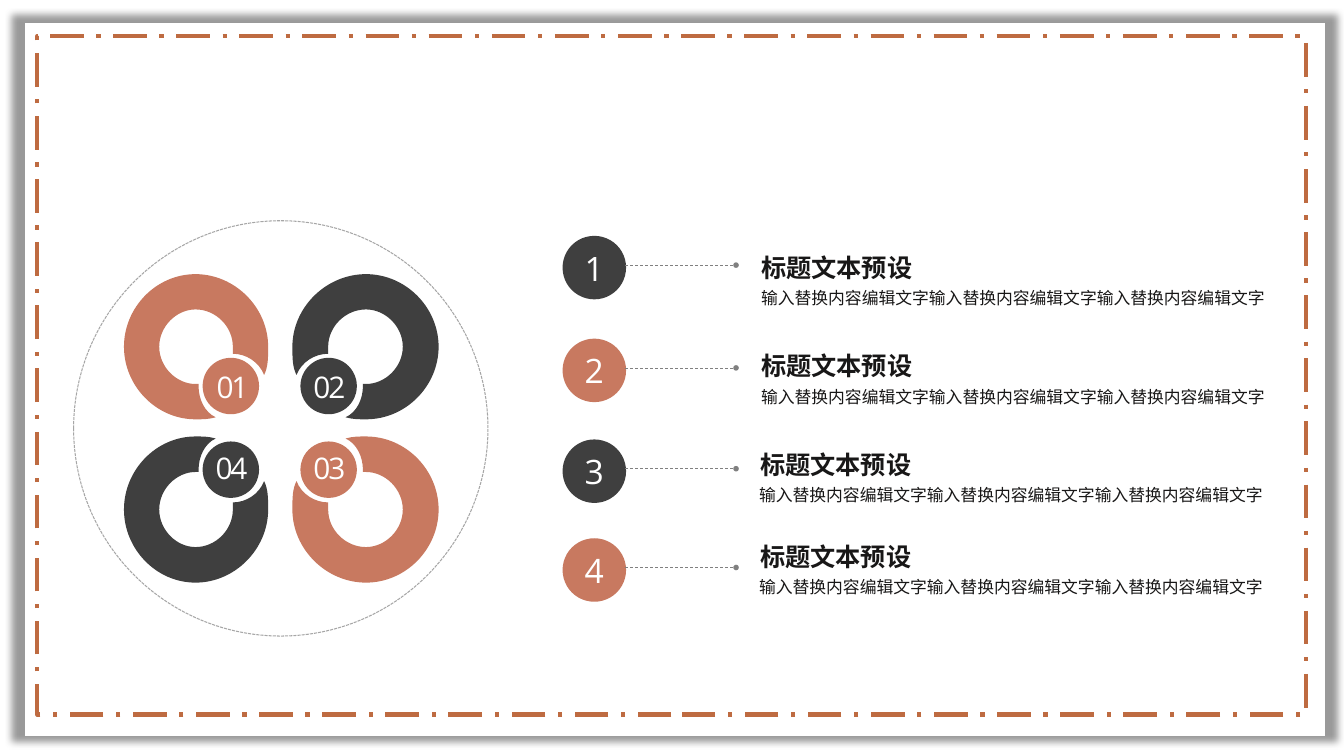
from lxml.etree import SubElement
from pptx import Presentation
from pptx.dml.color import RGBColor
from pptx.enum.dml import MSO_LINE
from pptx.enum.shapes import MSO_CONNECTOR, MSO_SHAPE
from pptx.enum.text import MSO_ANCHOR, MSO_AUTO_SIZE, PP_ALIGN
from pptx.oxml.ns import qn
from pptx.util import Inches, Pt

TITLE = "标题文本预设"
BODY = "输入替换内容编辑文字" * 3
FONT = "Open Sans"
COLORS = {
    "dark": "3F3F3F", "clay": "C87960", "border": "BE6B41", "white": "FFFFFF",
    "line": "808080", "ring": "A6A6A6", "text": "181717", "shadow": "000000",
}
ROWS = [
    ("1", "dark", 2.34, (7.45, 2.45), (7.45, 2.77)),
    ("2", "clay", 3.36, (7.45, 3.43), (7.45, 3.75)),
    ("3", "dark", 4.36, (7.44, 4.41), (7.43, 4.72)),
    ("4", "clay", 5.34, (7.44, 5.32), (7.43, 5.63)),
]
PETALS = [
    ("01", "clay", False, False, 2.05),
    ("02", "dark", True, False, 3.01),
    ("03", "clay", True, True, 3.01),
    ("04", "dark", False, True, 2.04),
]
PETAL_START = (1.94, 2.72)
PETAL_CURVES = [
    ((2.33, 2.72), (2.66, 3.05), (2.66, 3.44)),
    ((2.66, 3.55), (2.66, 3.64), (2.62, 3.72)),
    ((2.57, 3.59), (2.44, 3.51), (2.31, 3.51)),
    ((2.31, 3.48), (2.31, 3.46), (2.31, 3.44)),
    ((2.31, 3.24), (2.14, 3.07), (1.94, 3.07)),
    ((1.75, 3.07), (1.58, 3.24), (1.58, 3.44)),
    ((1.58, 3.64), (1.75, 3.81), (1.94, 3.81)),
    ((1.97, 3.81), (1.97, 3.81), (1.97, 3.81)),
    ((1.97, 3.81), (1.97, 3.83), (1.97, 3.83)),
    ((1.97, 3.96), (2.03, 4.09), (2.14, 4.14)),
    ((2.07, 4.16), (2.01, 4.16), (1.94, 4.16)),
    ((1.55, 4.16), (1.23, 3.83), (1.23, 3.44)),
    ((1.23, 3.05), (1.55, 2.72), (1.94, 2.72)),
]


def rgb(name):
    return RGBColor.from_string(COLORS[name])


def paint(sp, fill=None, line=None, width=1, dash=None):
    sp.shadow.inherit = False
    if fill:
        sp.fill.solid()
        sp.fill.fore_color.rgb = rgb(fill)
    else:
        sp.fill.background()
    if line:
        sp.line.color.rgb = rgb(line)
        sp.line.width = Pt(width)
        sp.line.dash_style = dash
    else:
        sp.line.fill.background()
    return sp


def add_shape(shapes, kind, box, **style):
    return paint(shapes.add_shape(kind, *map(Inches, box)), **style)


def add_run(tf, text, size, color, bold=False):
    r = tf.paragraphs[0].add_run()
    r.text = text
    r.font.size = Pt(size)
    r.font.bold = bold
    r.font.name = FONT
    r.font.color.rgb = rgb(color)
    SubElement(r.font._element, qn("a:ea"), typeface=FONT)
    return r


def add_text(shapes, box, text, size, color, bold=False, wrap=True):
    tf = shapes.add_textbox(*map(Inches, box)).text_frame
    tf.word_wrap = wrap
    return tf, add_run(tf, text, size, color, bold)


def add_petal(shapes, color, flip_x, flip_y):
    def place(x, y):
        return (Inches(2.9 + (2.66 - x) * 1.45 / 1.43 if flip_x else x),
                Inches(4.33 + (4.16 - y) * 1.45 / 1.44 if flip_y else y))

    builder = shapes.build_freeform(*place(*PETAL_START))
    builder.add_line_segments([place(*pt) for curve in PETAL_CURVES for pt in curve])
    sp = paint(builder.convert_to_shape(), fill=color)
    path = next(sp._element.iter(qn("a:path")))
    segments = path.findall(qn("a:lnTo"))
    for i in range(0, len(segments), 3):
        curve = SubElement(path, qn("a:cubicBezTo"))
        for segment in segments[i:i + 3]:
            curve.append(segment[0])
            path.remove(segment)
    for old in path.findall(qn("a:close")):
        path.remove(old)
    SubElement(path, qn("a:close"))


def add_frame(shapes):
    card = add_shape(shapes, MSO_SHAPE.RECTANGLE, (0.25, 0.23, 12.89, 7.07), fill="white")
    effects = card._element.spPr.find(qn("a:effectLst"))
    shadow = SubElement(effects, qn("a:outerShdw"), blurRad=str(Pt(5)),
                        sx="102000", sy="102000", algn="ctr", rotWithShape="0")
    tint = SubElement(shadow, qn("a:srgbClr"), val=COLORS["shadow"])
    SubElement(tint, qn("a:alpha"), val="40000")
    add_shape(shapes, MSO_SHAPE.RECTANGLE, (0.37, 0.36, 12.58, 6.73),
              line="border", width=3, dash=MSO_LINE.LONG_DASH_DOT)


def add_marker(shapes, number, color, top):
    tf = add_shape(shapes, MSO_SHAPE.OVAL, (5.58, top, 0.63, 0.63), fill=color).text_frame
    tf.vertical_anchor = MSO_ANCHOR.MIDDLE
    tf.paragraphs[0].alignment = PP_ALIGN.CENTER
    add_run(tf, number, 24, "white")

    y = top + 0.29
    cx = shapes.add_connector(MSO_CONNECTOR.STRAIGHT, *map(Inches, (6.2, y, 7.3, y)))
    cx.line.color.rgb = rgb("line")
    cx.line.width = Pt(0.5)
    cx.line.dash_style = MSO_LINE.DASH
    SubElement(cx.line._get_or_add_ln(), qn("a:tailEnd"), type="oval", w="sm", len="sm")
    SubElement(cx._element.spPr, qn("a:effectLst"))


def add_entry(shapes, title_at, body_at):
    tf, r = add_text(shapes, (*body_at, 5.88, 0.61), BODY, 12, "text")
    tf.paragraphs[0].line_spacing = 1.2
    add_text(shapes, (*title_at, 2.4, 0.38), TITLE, 18, "text", bold=True, wrap=False)


def add_flower(shapes):
    add_shape(shapes, MSO_SHAPE.OVAL, (0.73, 2.19, 4.11, 4.12),
              line="ring", width=0.75, dash=MSO_LINE.SQUARE_DOT)
    for label, color, flip_x, flip_y, label_x in PETALS:
        add_petal(shapes, color, flip_x, flip_y)
    for label, color, flip_x, flip_y, label_x in PETALS:
        x, y = 2.98 if flip_x else 2.01, 4.38 if flip_y else 3.55
        add_shape(shapes, MSO_SHAPE.OVAL, (x, y, 0.56, 0.56), fill=color)
        label_y = 4.41 if flip_y else 3.61
        tf, r = add_text(shapes, (label_x, label_y, 0.61, 0.46), label, 21.3, "white")
        tf.auto_size = MSO_AUTO_SIZE.SHAPE_TO_FIT_TEXT
        r.font._element.set("spc", "-150")


def main():
    prs = Presentation()
    prs.slide_width, prs.slide_height = Inches(13.33), Inches(7.5)
    s = prs.slides.add_slide(prs.slide_layouts[6])
    add_frame(s.shapes)
    for number, color, top, title_at, body_at in ROWS:
        add_marker(s.shapes, number, color, top)
    add_flower(s.shapes.add_group_shape().shapes)
    for number, color, top, title_at, body_at in ROWS:
        add_entry(s.shapes, title_at, body_at)
    prs.save("out.pptx")


if __name__ == "__main__":
    main()
